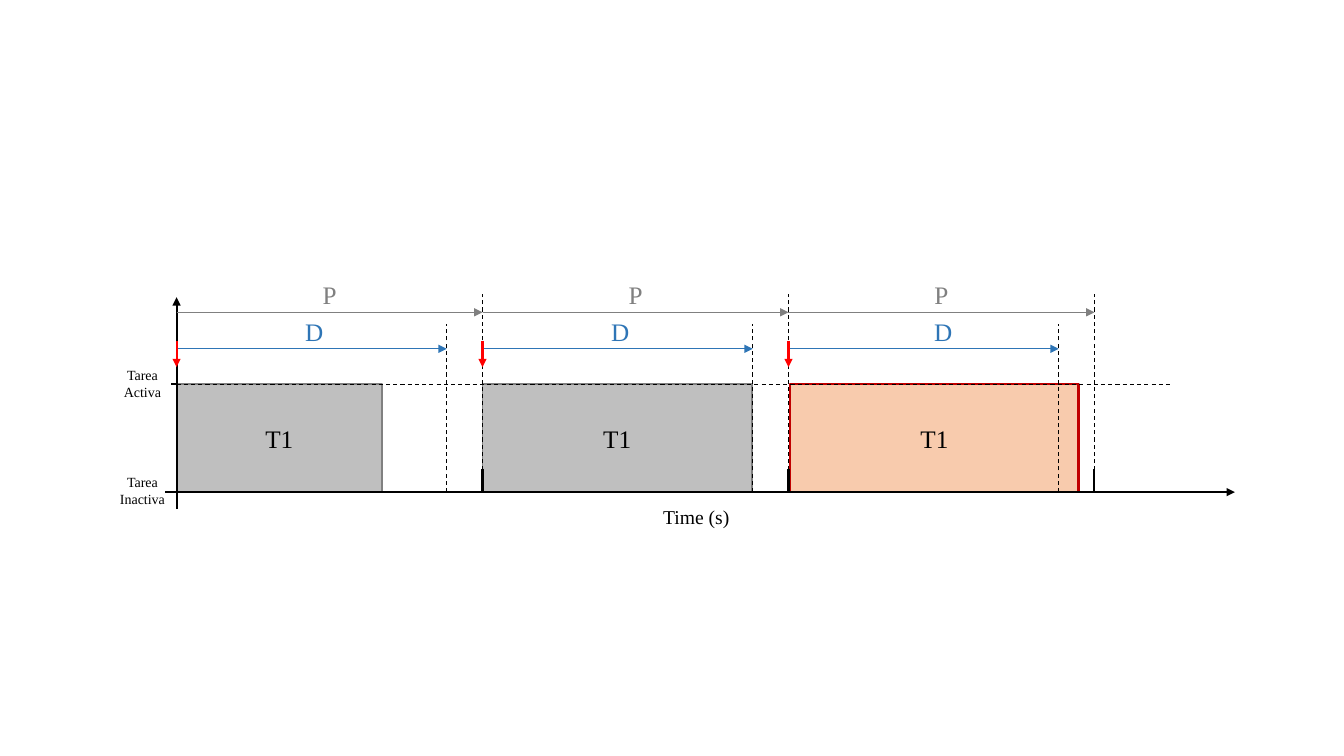
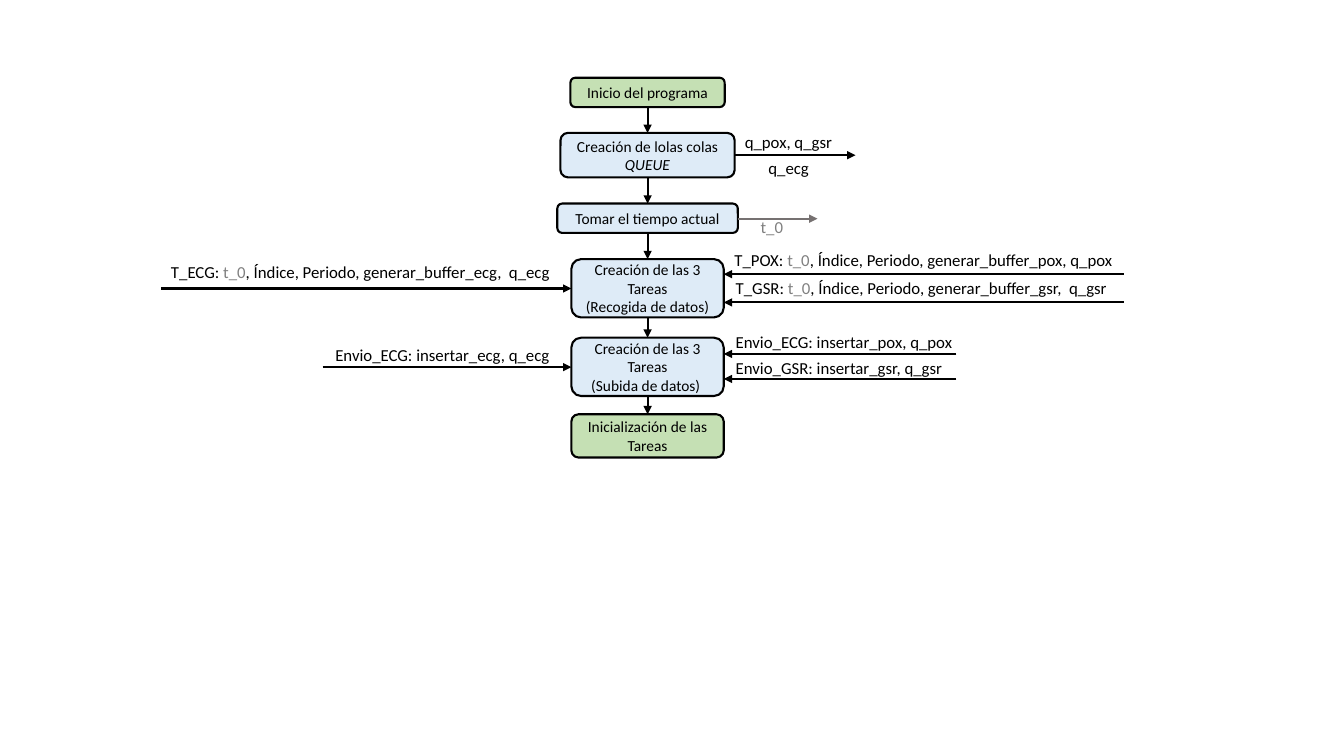
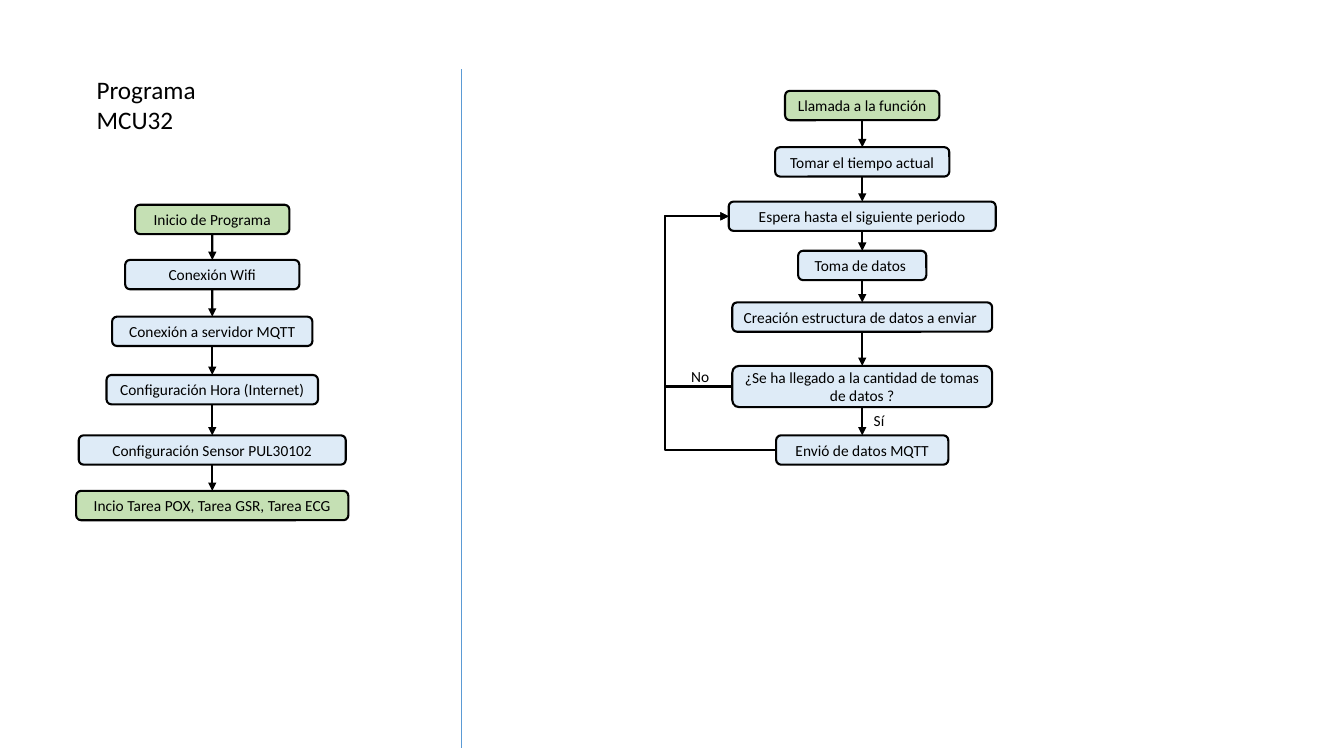
from lxml import etree
from pptx import Presentation
from pptx.dml.color import RGBColor
from pptx.enum.dml import MSO_LINE
from pptx.enum.shapes import MSO_CONNECTOR, MSO_SHAPE
from pptx.enum.text import MSO_ANCHOR, MSO_AUTO_SIZE, PP_ALIGN
from pptx.oxml.ns import qn
from pptx.util import Cm, Pt

STRAIGHT, ELBOW = MSO_CONNECTOR.STRAIGHT, MSO_CONNECTOR.ELBOW
RECT, ROUNDED = MSO_SHAPE.RECTANGLE, MSO_SHAPE.ROUNDED_RECTANGLE
LEFT, CENTER = PP_ALIGN.LEFT, PP_ALIGN.CENTER
TOP, MIDDLE = MSO_ANCHOR.TOP, MSO_ANCHOR.MIDDLE
DASH = MSO_LINE.DASH
TITLE_ONLY, BLANK = 5, 6
SITE_TOP, SITE_LEFT, SITE_BOTTOM = 0, 1, 2

COLORS = {
    "black": "000000", "gray": "808080", "dark_gray": "767171",
    "silver": "BFBFBF", "red": "FF0000", "dark_red": "C00000",
    "peach": "F8CBAD", "blue": "2E75B6", "divider": "5B9BD5",
    "step": "DEEBF7", "end": "C5E0B4",
}
SERIF, SANS = "Times New Roman", "Calibri"
BOX_H = 0.74


def rgb(name):
    return RGBColor.from_string(COLORS[name])


def write(tf, text, size=11, font=SANS, color="black", align=LEFT,
          anchor=TOP, wrap=True):
    """Fill a frame with a string or a list of (text, format changes)."""
    tf.word_wrap = wrap
    tf.auto_size = MSO_AUTO_SIZE.NONE
    tf.vertical_anchor = anchor
    p = tf.paragraphs[0]
    p.alignment = align
    for part, changes in [(text, {})] if isinstance(text, str) else text:
        for i, line in enumerate(part.split("\n")):
            if i:
                p.add_line_break()
            r = p.add_run()
            r.text = line
            r.font.name = font
            r.font.size = Pt(size)
            r.font.italic = changes.get("italic", False)
            r.font.color.rgb = rgb(changes.get("color", color))


def add_label(s, text, x, y, w, h=0.76, **fmt):
    sp = s.shapes.add_textbox(Cm(x), Cm(y), Cm(w), Cm(h))
    write(sp.text_frame, text, **fmt)


def add_box(s, text, x, y, w, h, fill, kind=ROUNDED, line="black",
            weight=1.5, **fmt):
    sp = s.shapes.add_shape(kind, Cm(x), Cm(y), Cm(w), Cm(h))
    sp.shadow.inherit = False
    sp.fill.solid()
    sp.fill.fore_color.rgb = rgb(fill)
    sp.line.color.rgb = rgb(line)
    sp.line.width = Pt(weight)
    write(sp.text_frame, text, align=CENTER, anchor=MIDDLE, **fmt)
    return sp


def style_line(c, color="black", weight=1.5, arrow=False, dash=None):
    c.line.color.rgb = rgb(color)
    c.line.width = Pt(weight)
    if dash:
        c.line.dash_style = dash
    if arrow:
        etree.SubElement(c.line._ln, qn("a:tailEnd"), type="triangle")
    etree.SubElement(c._element.spPr, qn("a:effectLst"))


def add_line(s, x1, y1, x2, y2, **style):
    c = s.shapes.add_connector(STRAIGHT, Cm(x1), Cm(y1), Cm(x2), Cm(y2))
    style_line(c, **style)


def join(s, a, a_site, b, b_site, kind=STRAIGHT):
    """Draw an arrow glued to the given sites of two boxes."""
    c = s.shapes.add_connector(kind, 0, 0, 0, 0)
    c.begin_connect(a, a_site)
    c.end_connect(b, b_site)
    style_line(c, arrow=True)
    return c


def add_loop(s, a, b, x):
    """Lead an arrow from the left of a up to the left of b, by way of x."""
    c = join(s, a, SITE_LEFT, b, SITE_LEFT, ELBOW)
    bend = round((a.left - Cm(x)) / (a.left - b.left) * 100000)
    geom = c._element.spPr.find(qn("a:prstGeom"))
    guides = geom.find(qn("a:avLst"))
    if guides is None:
        guides = etree.SubElement(geom, qn("a:avLst"))
    etree.SubElement(guides, qn("a:gd"), name="adj1", fmla=f"val {bend}")
    xfrm = c._element.spPr.find(qn("a:xfrm"))
    for flip in ("flipH", "flipV"):
        xfrm.attrib.pop(flip, None)
    xfrm.set("rot", "10800000")


def add_flow(s, center, steps):
    """Stack (text, top, width, height, fill) boxes joined by arrows."""
    boxes = [add_box(s, text, center - w / 2, y, w, h, fill)
             for text, y, w, h, fill in steps]
    for a, b in zip(boxes, boxes[1:]):
        join(s, a, SITE_BOTTOM, b, SITE_TOP)
    return boxes


def timing_slide(prs):
    s = prs.slides.add_slide(prs.slide_layouts[BLANK])
    start, period, deadline = 4.45, 7.71, 6.81
    active, axis = 9.68, 12.4
    releases = [start + i * period for i in range(4)]
    jobs = [  # offset, width, fill, line, weight, offset of D
        (0, 5.18, "silver", "gray", 1, 2.99),
        (0, 6.79, "silver", "gray", 1, 2.99),
        (0.05, 7.26, "peach", "dark_red", 1.5, 3.42),
    ]
    for x, (dx, w, fill, line, weight, _) in zip(releases, jobs):
        add_box(s, "T1", x + dx, active, w, axis - active, fill, RECT, line,
                weight, size=18, font=SERIF)
    for x in releases[1:]:
        add_line(s, x, axis, x, 7.42, weight=0.75, dash=DASH)
        add_line(s, x, 11.81, x, axis)
    add_line(s, start, active, 29.49, active, weight=0.75, dash=DASH)
    add_line(s, 4.17, axis, 31.12, axis, arrow=True)
    add_line(s, start, 12.83, start, 7.49, arrow=True)
    add_line(s, 4.47, active, 4.32, active)
    for x, job in zip(releases, jobs):
        end = x + deadline
        add_line(s, end, axis, end, 8.16, weight=0.75, dash=DASH)
        for name, y, length, dx, color in (
                ("P", 7.87, period, 3.43, "gray"),
                ("D", 8.79, deadline, job[-1], "blue")):
            add_line(s, x, y, x + length, y, color=color, weight=0.5,
                     arrow=True)
            add_label(s, name, x + dx, y - 0.95, 0.86, 1.02, size=18,
                      font=SERIF, color=color)
        add_line(s, x, 8.59, x, 9.25, color="red", arrow=True)
    for text, y in (("Tarea\nActiva", 9.12), ("Tarea\nInactiva", 11.81)):
        add_label(s, text, 2.75, y, 1.68, 1.12, size=10, font=SERIF,
                  align=CENTER, wrap=False)
    add_label(s, "Time (s)", 16.46, 12.6, 2.18, 0.86, size=14, font=SERIF,
              wrap=False)


def tasks_slide(prs):
    s = prs.slides.add_slide(prs.slide_layouts[BLANK])
    add_flow(s, 16.32, [
        ("Inicio del programa", 1.96, 3.89, BOX_H, "end"),
        ([("Creación de lolas colas ", {}), ("QUEUE", {"italic": True})],
         3.35, 4.39, 1.12, "step"),
        ("Tomar el tiempo actual", 5.13, 4.55, BOX_H, "step"),
        ("Creación de las 3 Tareas\n(Recogida de datos) ",
         6.53, 3.84, 1.47, "step"),
        ("Creación de las 3 Tareas\n(Subida de datos) ",
         8.51, 3.84, 1.47, "step"),
        ("Inicialización de las Tareas", 10.44, 3.84, 1.09, "end"),
    ])
    box_left, box_right = 14.4, 18.24
    for x1, x2, y, color in (
            (18.52, 21.56, 3.91, "black"),
            (18.59, 20.6, 5.51, "dark_gray"),
            (28.32, box_right, 6.91, "black"),
            (28.32, box_right, 7.62, "black"),
            (4.06, box_left, 7.27, "black"),
            (24.1, box_right, 8.92, "black"),
            (24.1, box_right, 9.55, "black"),
            (8.13, box_left, 9.25, "black")):
        add_line(s, x1, y, x2, y, color=color, arrow=True)
    for task, rest, x, y in (
            ("T_POX:", "generar_buffer_pox, q_pox", 18.26, 6.17),
            ("T_GSR:", "generar_buffer_gsr,  q_gsr", 18.29, 6.88),
            ("T_ECG:", "generar_buffer_ecg,  q_ecg", 4.06, 6.48)):
        runs = [(task, {}), (" t_0", {"color": "gray"}),
                (", Índice, Periodo, " + rest, {})]
        add_label(s, runs, x, y, 10.06, size=12)
    for text, x, y in (
            ("Envio_ECG: insertar_ecg, q_ecg", 8.2, 8.56),
            ("Envio_ECG: insertar_pox, q_pox", 18.29, 8.23),
            ("Envio_GSR: insertar_gsr, q_gsr", 18.29, 8.89)):
        add_label(s, text, x, y, 6.02, size=12)
    add_label(s, "q_pox, q_gsr", 18.52, 3.2, 2.74, size=12, wrap=False)
    add_label(s, "q_ecg", 19.1, 3.84, 1.55, size=12, align=CENTER, wrap=False)
    add_label(s, "t_0", 18.92, 5.33, 1.32, size=12, color="gray")


def program_slide(prs):
    s = prs.slides.add_slide(prs.slide_layouts[TITLE_ONLY])
    title = s.shapes.title
    title.left, title.top = Cm(2.18), Cm(1.75)
    title.width, title.height = Cm(3.18), Cm(1.8)
    write(title.text_frame, "Programa \nMCU32", size=18, wrap=False)
    add_line(s, 11.63, 1.75, 11.63, 18.85, color="divider", weight=0.5)
    add_flow(s, 5.35, [
        ("Inicio de Programa", 5.16, 3.89, BOX_H, "end"),
        ("Conexión Wifi", 6.55, 4.39, BOX_H, "step"),
        ("Conexión a servidor MQTT", 7.98, 5.05, BOX_H, "step"),
        ("Configuración Hora (Internet)", 9.45, 5.33, BOX_H, "step"),
        ("Configuración Sensor PUL30102", 10.97, 6.73, BOX_H, "step"),
        ("Incio Tarea POX, Tarea GSR, Tarea ECG", 12.37, 6.86, BOX_H, "end"),
    ])
    boxes = add_flow(s, 21.73, [
        ("Llamada a la función", 2.29, 3.89, BOX_H, "end"),
        ("Tomar el tiempo actual", 3.71, 4.39, BOX_H, "step"),
        ("Espera hasta el siguiente periodo", 5.08, 6.73, BOX_H, "step"),
        ("Toma de datos ", 6.32, 3.23, BOX_H, "step"),
        ("Creación estructura de datos a enviar ", 7.62, 6.55, BOX_H, "step"),
        ("¿Se ha llegado a la cantidad de tomas de datos ?",
         9.22, 6.55, 1.04, "step"),
        ("Envió de datos MQTT", 10.97, 4.34, BOX_H, "step"),
    ])
    wait, question, send = boxes[2], boxes[5], boxes[6]
    for source in (question, send):
        add_loop(s, source, wait, 16.76)
    add_label(s, "Sí", 21.77, 10.24, 0.79, wrap=False)
    add_label(s, "No", 17.17, 9.12, 0.97, wrap=False)


def main():
    prs = Presentation()
    prs.slide_width, prs.slide_height = Cm(33.87), Cm(19.05)
    timing_slide(prs)
    tasks_slide(prs)
    program_slide(prs)
    prs.save("out.pptx")


if __name__ == "__main__":
    main()
